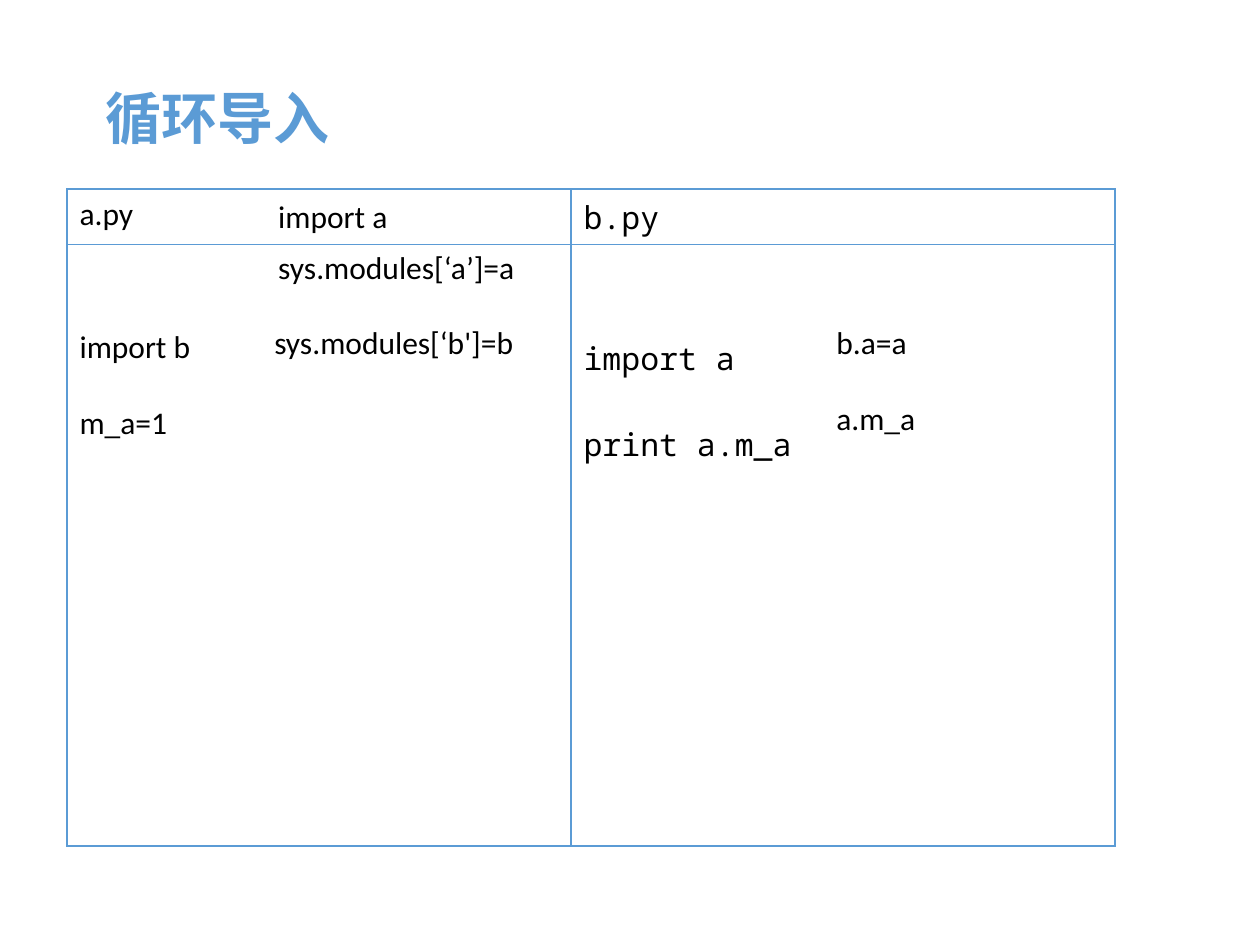
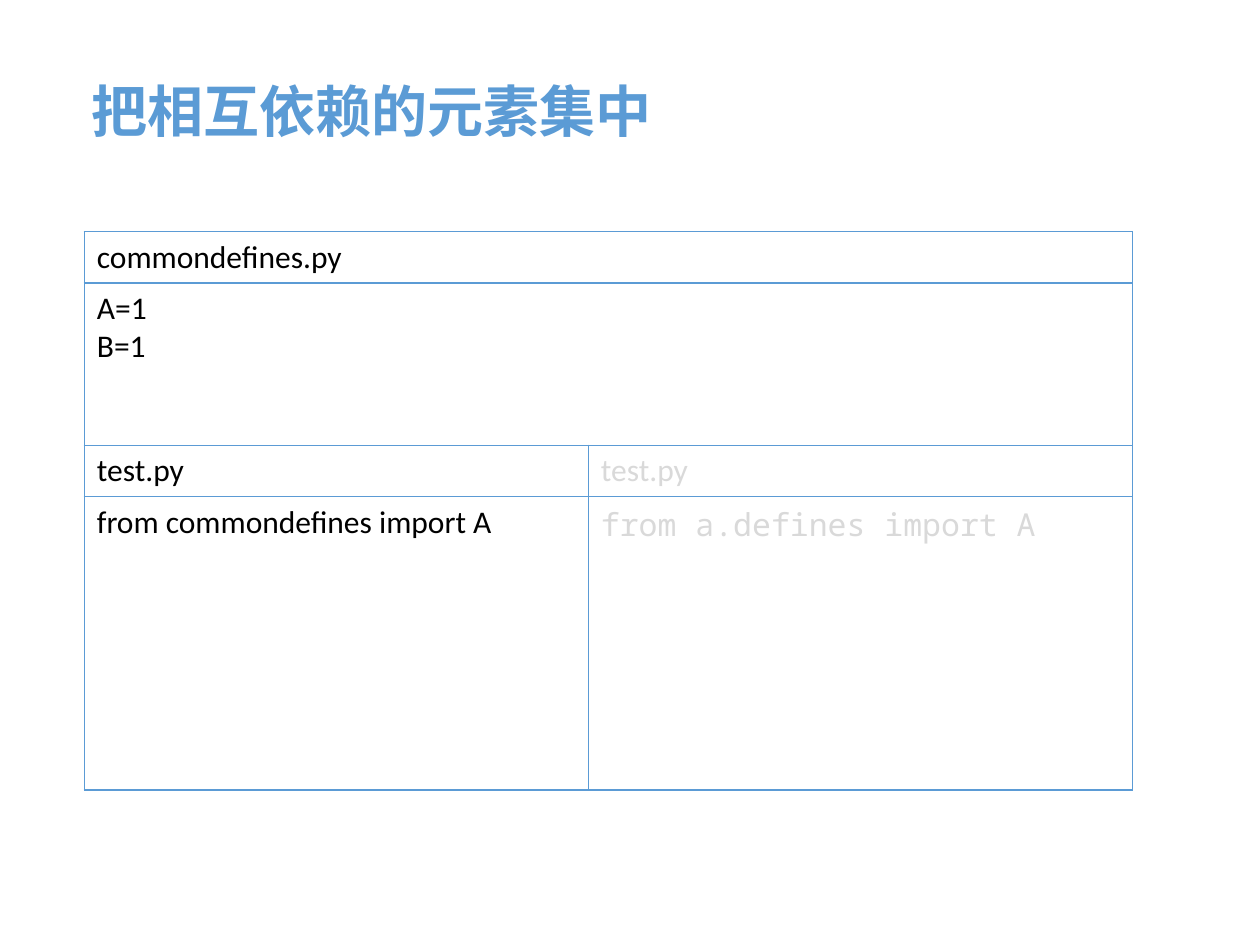
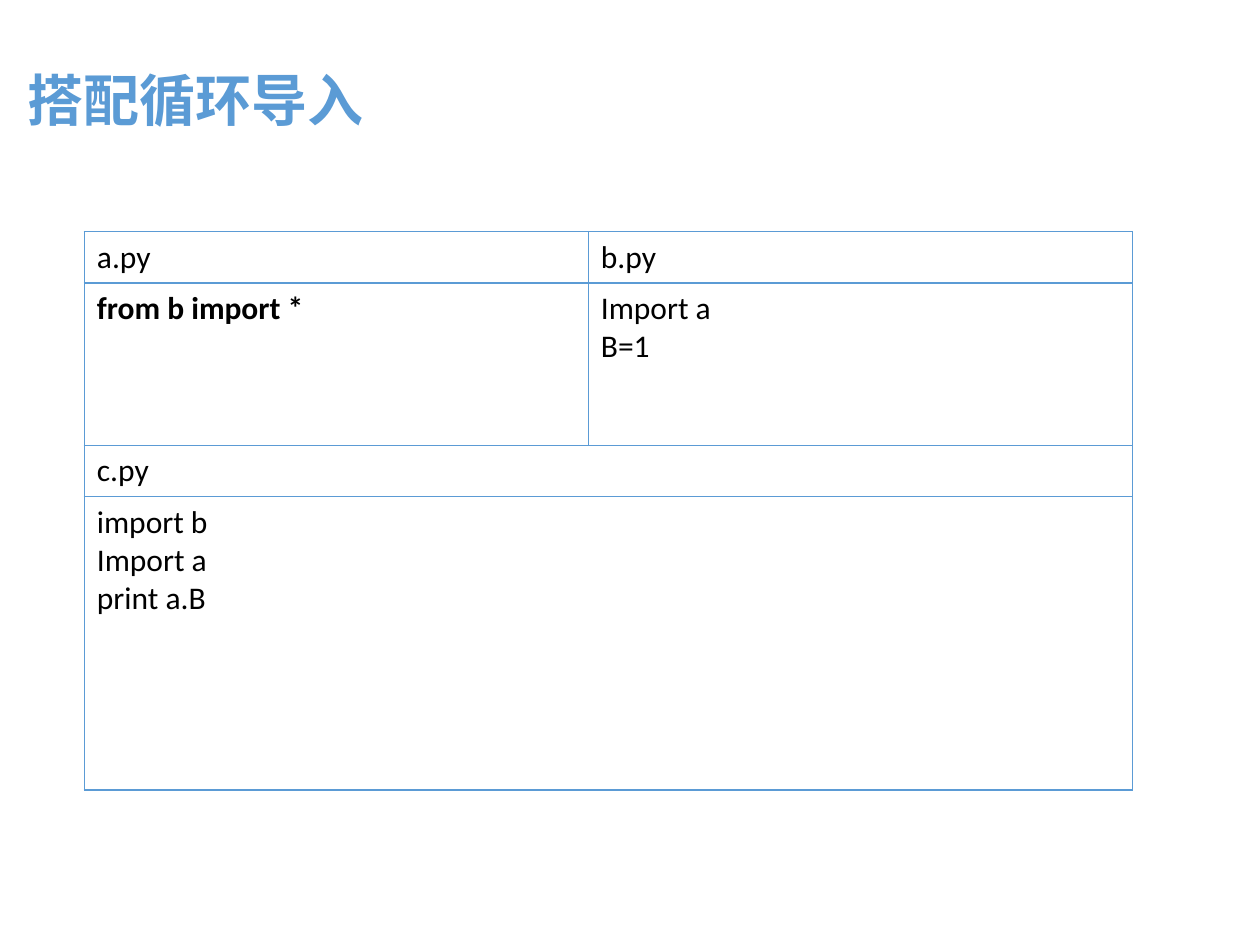
from lxml import etree
from pptx import Presentation
from pptx.dml.color import RGBColor
from pptx.enum.text import MSO_ANCHOR, MSO_AUTO_SIZE, PP_ALIGN
from pptx.oxml.ns import qn
from pptx.util import Cm, Pt

TOP = MSO_ANCHOR.TOP
GROW = MSO_AUTO_SIZE.SHAPE_TO_FIT_TEXT
LEFT, CENTER = PP_ALIGN.LEFT, PP_ALIGN.CENTER

COLORS = {"accent": "5B9BD5", "text": "000000", "muted": "D9D9D9"}
SANS, MONO = "Calibri", "Noto Sans Mono"
LINE_HEIGHT = {SANS: Pt(22), MONO: Pt(24.5)}
CELL_INSET = Cm(0.13)
BORDER_WIDTH = Pt(1)
TITLE_ONLY = 5

FILE_COLUMNS = (10.16, 10.97)
FOUR_ROWS = (1.03, 3.28, 1.03, 5.92)


def write(frame, text, size=18, font=SANS, color="text", bold=False, align=LEFT, gap=0):
    for index, line in enumerate(text.split("\n")):
        para = frame.add_paragraph() if index else frame.paragraphs[0]
        para.alignment = align
        if index and gap:
            para.space_before = gap
        span = para.add_run()
        span.text = line
        span.font.size = Pt(size)
        span.font.name = font
        span.font.bold = bold
        span.font.color.rgb = RGBColor.from_string(COLORS[color])


class SlideBuilder:
    def __init__(self):
        self.deck = Presentation()
        self.deck.slide_width, self.deck.slide_height = Cm(25.4), Cm(19.05)
        self.page = None

    def fit(self, box, text, **style):
        frame = box.text_frame
        frame.word_wrap = False
        frame.auto_size = GROW
        frame.vertical_anchor = TOP
        write(frame, text, **style)

    def slide(self, title, left, top, width):
        self.page = self.deck.slides.add_slide(self.deck.slide_layouts[TITLE_ONLY])
        box = self.page.shapes.title
        box.left, box.top, box.width, box.height = Cm(left), Cm(top), Cm(width), Cm(1.63)
        self.fit(box, title, size=32, color="accent", bold=True, align=CENTER)

    def label(self, text, left, top, width):
        box = self.page.shapes.add_textbox(Cm(left), Cm(top), Cm(width), Cm(1.02))
        self.fit(box, text)

    def border(self, cell):
        properties = cell._tc.get_or_add_tcPr()
        for side in ("a:lnL", "a:lnR", "a:lnT", "a:lnB"):
            line = etree.SubElement(properties, qn(side), w=str(BORDER_WIDTH))
            fill = etree.SubElement(line, qn("a:solidFill"))
            etree.SubElement(fill, qn("a:srgbClr"), val=COLORS["accent"])

    def table(self, left, top, heights, merged_rows=()):
        frame = self.page.shapes.add_table(
            len(heights), len(FILE_COLUMNS), Cm(left), Cm(top),
            Cm(sum(FILE_COLUMNS)), Cm(sum(heights)))
        table = frame.table
        table.first_row = table.horz_banding = False
        for column, width in zip(table.columns, FILE_COLUMNS):
            column.width = Cm(width)
        for row, height in zip(table.rows, heights):
            row.height = Cm(height)
        for cell in table.iter_cells():
            self.border(cell)
            cell.fill.background()
            cell.margin_top = cell.margin_bottom = CELL_INSET
        for row in merged_rows:
            table.cell(row, 0).merge(table.cell(row, 1))
        return table

    def code(self, table, row, column, text, spaced=False, font=SANS, **style):
        cell = table.cell(row, column)
        line = LINE_HEIGHT[font]
        if spaced:
            cell.margin_top = CELL_INSET + 2 * line
        write(cell.text_frame, text, font=font, gap=line if spaced else 0, **style)


def circular_import(builder):
    builder.slide("循环导入", 1.85, 1.55, 5.08)
    table = builder.table(1.35, 3.81, (1.12, 12.12))
    builder.code(table, 0, 0, "a.py")
    builder.code(table, 0, 1, "b.py", font=MONO)
    builder.code(table, 1, 0, "import b\nm_a=1", spaced=True)
    builder.code(table, 1, 1, "import a\nprint a.m_a", spaced=True, font=MONO)
    for text, left, top, width in (
        ("sys.modules[‘a’]=a", 5.36, 4.88, 5.31),
        ("sys.modules[‘b']=b", 5.28, 6.38, 5.38),
        ("import a", 5.36, 3.84, 2.74),
        ("b.a=a", 16.61, 6.38, 1.96),
        ("a.m_a", 16.61, 7.92, 2.11),
    ):
        builder.label(text, left, top, width)


def common_defines(builder):
    builder.slide("把相互依赖的元素集中", 1.52, 1.42, 11.96)
    table = builder.table(1.7, 4.67, FOUR_ROWS, merged_rows=(0, 1))
    builder.code(table, 0, 0, "commondefines.py")
    builder.code(table, 1, 0, "A=1\nB=1")
    builder.code(table, 2, 0, "test.py")
    builder.code(table, 2, 1, "test.py", color="muted")
    builder.code(table, 3, 0, "from commondefines import A")
    builder.code(table, 3, 1, "from a.defines import A", font=MONO, color="muted")


def star_import(builder):
    builder.slide("搭配循环导入", 0.25, 1.19, 7.39)
    table = builder.table(1.7, 4.67, FOUR_ROWS, merged_rows=(2, 3))
    builder.code(table, 0, 0, "a.py")
    builder.code(table, 0, 1, "b.py")
    builder.code(table, 1, 0, "from b import *", bold=True)
    builder.code(table, 1, 1, "Import a\nB=1")
    builder.code(table, 2, 0, "c.py")
    builder.code(table, 3, 0, "import b\nImport a\nprint a.B")


def main():
    builder = SlideBuilder()
    circular_import(builder)
    common_defines(builder)
    star_import(builder)
    builder.deck.save("out.pptx")


if __name__ == "__main__":
    main()
